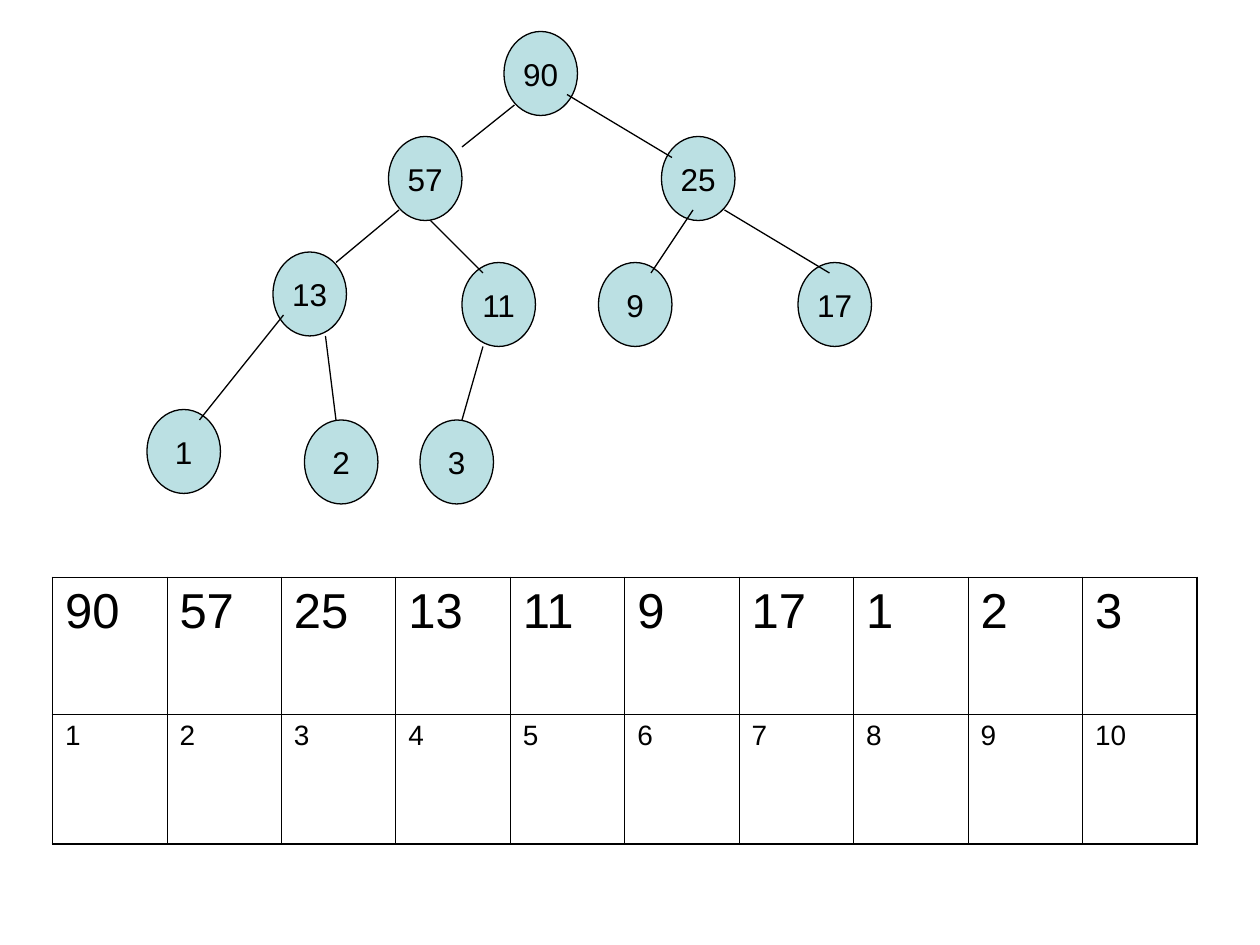
import lxml.etree
import pptx
import pptx.dml.color
import pptx.enum.shapes
import pptx.enum.text
import pptx.oxml.ns
import pptx.util

PX = 9525
BLACK = "000000"
qn = pptx.oxml.ns.qn


def tint(code):
    return pptx.dml.color.RGBColor.from_string(code)


def write(frame, text, size):
    run = frame.paragraphs[0].add_run()
    run.text = text
    run.font.name = "Arial"
    run.font.size = pptx.util.Pt(size)
    run.font.color.rgb = tint(BLACK)


deck = pptx.Presentation()
deck.slide_width = 960 * PX
deck.slide_height = 720 * PX
slide = deck.slides.add_slide(deck.slide_layouts[6])

nodes = [
    (90, 384, 24),
    (57, 296, 104),
    (25, 504, 104),
    (13, 208, 192),
    (11, 352, 200),
    (9, 456, 200),
    (17, 608, 200),
    (1, 112, 312),
    (2, 232, 320),
    (3, 320, 320),
]
for key, x, y in nodes:
    node = slide.shapes.add_shape(
        pptx.enum.shapes.MSO_SHAPE.OVAL, x * PX, y * PX, 56 * PX, 64 * PX)
    node.shadow.inherit = False
    node.fill.solid()
    node.fill.fore_color.rgb = tint("BBE0E3")
    node.line.color.rgb = tint(BLACK)
    node.line.width = pptx.util.Pt(0.75)
    frame = node.text_frame
    frame.word_wrap = False
    frame.vertical_anchor = pptx.enum.text.MSO_ANCHOR.MIDDLE
    frame.paragraphs[0].alignment = pptx.enum.text.PP_ALIGN.CENTER
    write(frame, str(key), 18)

links = [
    (392, 80, 352, 112),
    (432, 72, 512, 120),
    (304, 160, 256, 200),
    (328, 168, 368, 208),
    (216, 240, 152, 320),
    (248, 256, 256, 320),
    (528, 160, 496, 208),
    (552, 160, 632, 208),
    (368, 264, 352, 320),
]
for ends in links:
    link = slide.shapes.add_connector(
        pptx.enum.shapes.MSO_CONNECTOR.STRAIGHT, *[end * PX for end in ends])
    link.line.color.rgb = tint(BLACK)
    link.line.width = pptx.util.Pt(0.75)
    lxml.etree.SubElement(link.element.spPr, qn("a:effectLst"))

table = slide.shapes.add_table(
    2, len(nodes), 40 * PX, 440 * PX, 872 * PX, 203 * PX).table
table.first_row = False
table.horz_banding = False
table.rows[0].height = 104 * PX
table.rows[1].height = 99 * PX

last = len(nodes) - 1
for col, (key, x, y) in enumerate(nodes):
    for row, (text, size) in enumerate([(str(key), 28), (str(col + 1), 16)]):
        cell = table.cell(row, col)
        write(cell.text_frame, text, size)
        props = cell._tc.get_or_add_tcPr()
        outer = {"L": col == 0, "R": col == last, "T": row == 0, "B": row == 1}
        for side, thick in outer.items():
            width = pptx.util.Pt(1.08 if thick else 0.45)
            edge = lxml.etree.SubElement(props, qn("a:ln" + side), w=str(width))
            fill = lxml.etree.SubElement(edge, qn("a:solidFill"))
            lxml.etree.SubElement(fill, qn("a:srgbClr"), val=BLACK)
        cell.fill.background()

deck.save("out.pptx")
